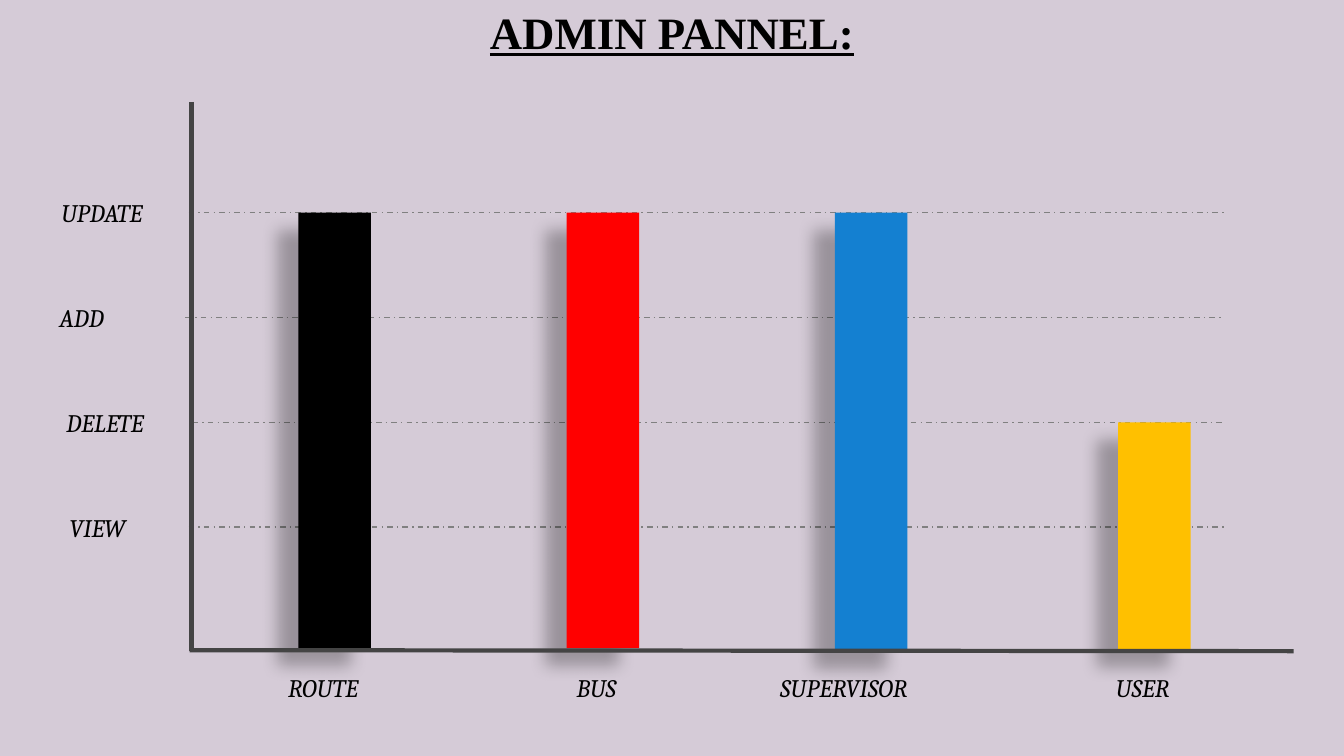
from lxml import etree
from pptx import Presentation
from pptx.dml.color import RGBColor
from pptx.enum.dml import MSO_LINE
from pptx.enum.shapes import MSO_CONNECTOR, MSO_SHAPE
from pptx.enum.text import MSO_AUTO_SIZE, PP_ALIGN
from pptx.oxml.ns import qn
from pptx.util import Emu, Pt

STRAIGHT = MSO_CONNECTOR.STRAIGHT
RECT = MSO_SHAPE.RECTANGLE
DASH = MSO_LINE.DASH_DOT
SOLID = MSO_LINE.SOLID
LEFT, CENTER = PP_ALIGN.LEFT, PP_ALIGN.CENTER
GROW = MSO_AUTO_SIZE.SHAPE_TO_FIT_TEXT
SCALE = 9144
COLORS = {"back": "D5CBD7", "black": "000000", "red": "FF0000", "blue": "1480D1",
          "gold": "FFC000", "grid": "808080", "axis": "444444"}


class Board:
    """Draws styled elements on one slide, with 100 px to the inch."""

    def __init__(self, deck):
        self.slide = deck.slides.add_slide(deck.slide_layouts[6])
        self.shapes = self.slide.shapes
        self.fill(self.slide.background.fill, "back")

    def px(self, *sizes):
        return [Emu(size * SCALE) for size in sizes]

    def color(self, name):
        return RGBColor.from_string(COLORS[name])

    def fill(self, fill, name):
        fill.solid()
        fill.fore_color.rgb = self.color(name)

    def line(self, start, end, name, width, dash=SOLID, group=None):
        shapes = group.shapes if group else self.shapes
        line = shapes.add_connector(STRAIGHT, *self.px(*start, *end))
        line.line.color.rgb = self.color(name)
        line.line.width = Pt(width)
        line.line.dash_style = dash
        etree.SubElement(line._element.spPr, qn("a:effectLst"))

    def bar(self, left, top, width, height, name):
        bar = self.shapes.add_shape(RECT, *self.px(left, top, width, height))
        self.fill(bar.fill, name)
        bar.line.fill.background()
        bar.shadow.inherit = False
        effects = bar._element.spPr.find(qn("a:effectLst"))
        shade = etree.SubElement(effects, qn("a:outerShdw"), blurRad="150000",
                                 dist="250000", dir="8460000", algn="ctr", rotWithShape="0")
        tint = etree.SubElement(shade, qn("a:srgbClr"), val=COLORS["black"])
        etree.SubElement(tint, qn("a:alpha"), val="28000")

    def text(self, left, top, width, height, words, size=18, face="Cambria",
             align=LEFT, bold=False, italic=True, under=False):
        frame = self.shapes.add_textbox(*self.px(left, top, width, height)).text_frame
        frame.word_wrap = True
        frame.auto_size = GROW
        para = frame.paragraphs[0]
        para.alignment = align
        run = para.add_run()
        run.text = words
        font = run.font
        font.name, font.size = face, Pt(size)
        font.bold, font.italic, font.underline = bold, italic, under
        font.color.rgb = self.color("black")


def main():
    deck = Presentation()
    deck.slide_width, deck.slide_height = Emu(1333 * SCALE), Emu(750 * SCALE)
    board = Board(deck)

    top, step, base = 211, 104, 645
    levels = [("UPDATE", 51, 187, 1215), ("ADD", 49, 184, 1211),
              ("DELETE", 56, 191, 1213), ("VIEW", 59, 187, 1215)]
    for row, (_, _, start, end) in enumerate(levels):
        y = top + row * step
        board.line((start, y), (end, y), "grid", 1, DASH)

    board.text(0, 0, 1333, 64, "ADMIN PANNEL:", 32, "Times New Roman",
               CENTER, bold=True, italic=False, under=True)

    roles = [("ROUTE", 276, 136, 296, 0, 643, "black"),
             ("BUS", 562, 136, 562, 0, 643, "red"),
             ("SUPERVISOR", 764, 199, 828, 0, 646, "blue"),
             ("USER", 1097, 136, 1109, 2, 645, "gold")]
    for _, _, _, left, row, foot, name in roles:
        y = top + row * step
        board.bar(left, y, 72, foot - y, name)

    axes = board.shapes.add_group_shape()
    board.line((190, 101), (190, base + 1), "axis", 3, group=axes)
    board.line((1283, base + 1), (188, base), "axis", 3, group=axes)

    for words, left, width, *_ in roles:
        board.text(left, 662, width, 40, words)
    for row, (words, left, *_) in enumerate(levels):
        board.text(left, top - 20 + row * step, 136, 40, words)

    deck.save("out.pptx")


if __name__ == "__main__":
    main()
